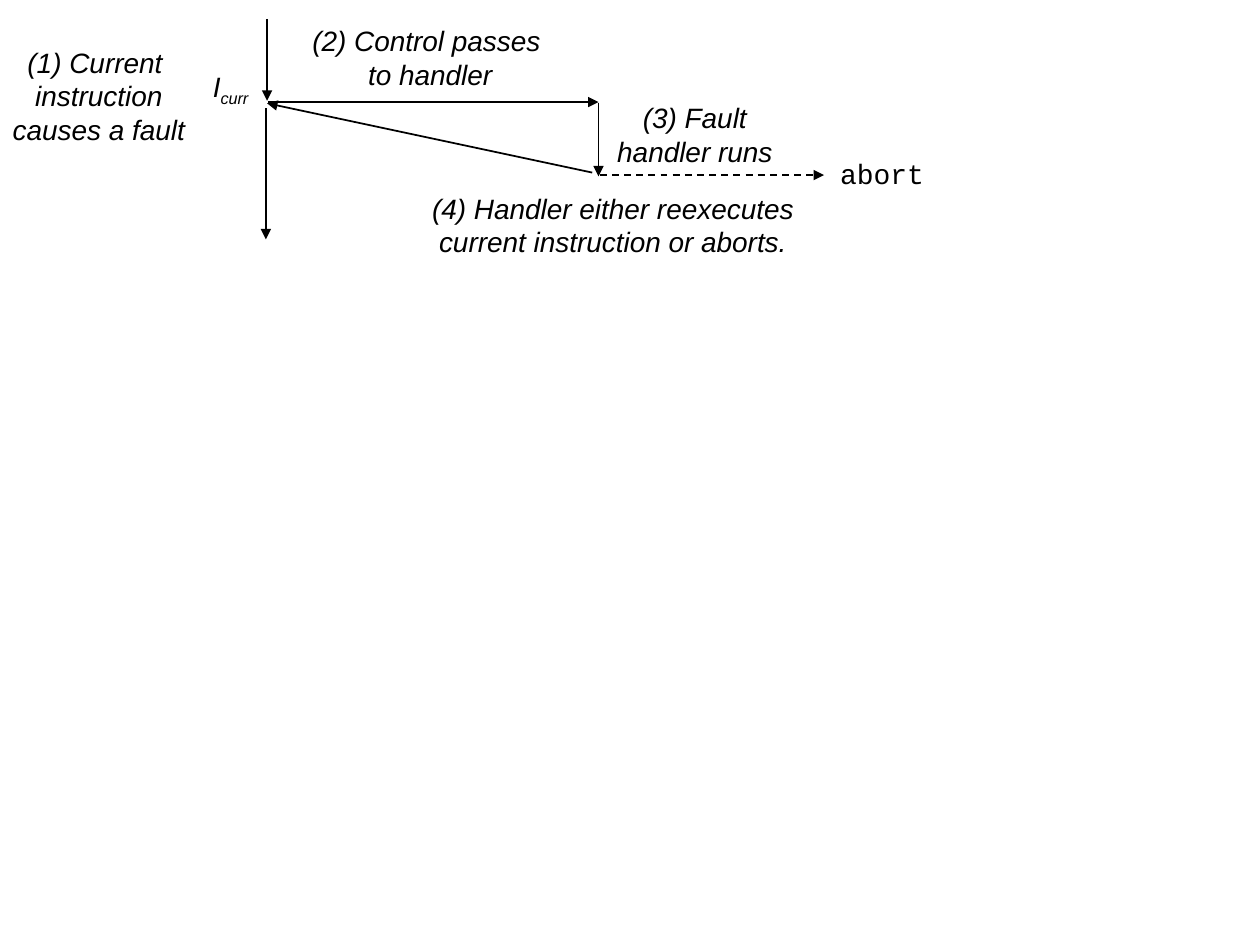
import pptx
import pptx.dml.color
import pptx.enum.dml
import pptx.enum.shapes
import pptx.enum.text
import pptx.oxml
import pptx.oxml.ns
import pptx.util
from pptx.util import Inches


def rgb(value):
    return pptx.dml.color.RGBColor.from_string(value)


def add_text(box, lines, align="CENTER", anchor="TOP", wrap=False, font="Arial", italic=True):
    sp = s.shapes.add_textbox(*[Inches(v) for v in box])
    tf = sp.text_frame
    tf.word_wrap = wrap
    tf.auto_size = pptx.enum.text.MSO_AUTO_SIZE.SHAPE_TO_FIT_TEXT
    tf.vertical_anchor = pptx.enum.text.MSO_ANCHOR[anchor]
    tf.text = "\n".join(lines)
    for p in tf.paragraphs:
        p.alignment = pptx.enum.text.PP_ALIGN[align]
        p.font.name = font
        p.font.size = pptx.util.Pt(16)
        p.font.italic = italic
        p.font.color.rgb = rgb("000000")
    return tf


prs = pptx.Presentation()
prs.slide_width = Inches(10)
prs.slide_height = Inches(7.5)
s = prs.slides.add_slide(prs.slide_layouts[6])

arrows = [
    (2.12, 0.15, 2.12, 0.8, False),
    (2.13, 0.81, 4.75, 0.81, False),
    (4.75, 0.82, 4.75, 1.4, False),
    (4.7, 1.37, 2.12, 0.82, False),
    (2.11, 0.86, 2.11, 1.9, False),
    (4.76, 1.39, 6.54, 1.39, True),
]
for *ends, dashed in arrows:
    sp = s.shapes.add_connector(
        pptx.enum.shapes.MSO_CONNECTOR.STRAIGHT, *[Inches(v) for v in ends])
    sp.line.color.rgb = rgb("000000")
    sp.line.width = pptx.util.Pt(1)
    if dashed:
        sp.line.dash_style = pptx.enum.dml.MSO_LINE.DASH
    tail = pptx.oxml.parse_xml(
        f'<a:tailEnd {pptx.oxml.ns.nsdecls("a")} type="triangle"/>')
    sp.line._get_or_add_ln().append(tail)
    sp._element.spPr.append(
        pptx.oxml.parse_xml(f'<a:effectLst {pptx.oxml.ns.nsdecls("a")}/>'))

add_text((0, 0.31, 1.57, 0.9),
         ["(1) Current ", "instruction", "causes a fault"], anchor="MIDDLE")
add_text((2.38, 0.14, 2.07, 0.63), ["(2) Control passes ", "to handler"])
add_text((4.7, 0.75, 1.63, 0.63), ["(3) Fault", "handler runs"], wrap=True)
add_text((3.33, 1.47, 3.07, 0.63),
         ["(4) Handler either reexecutes", "current instruction or aborts."])
add_text((6.55, 1.19, 0.9, 0.37), ["abort"], anchor="MIDDLE",
         font="Courier New", italic=False)

tf = add_text((1.59, 0.5, 0.48, 0.41), ["I"], align="LEFT")
r = tf.paragraphs[0].add_run()
r.text = "curr"
r.font._element.set("baseline", "-25000")

prs.save("out.pptx")
